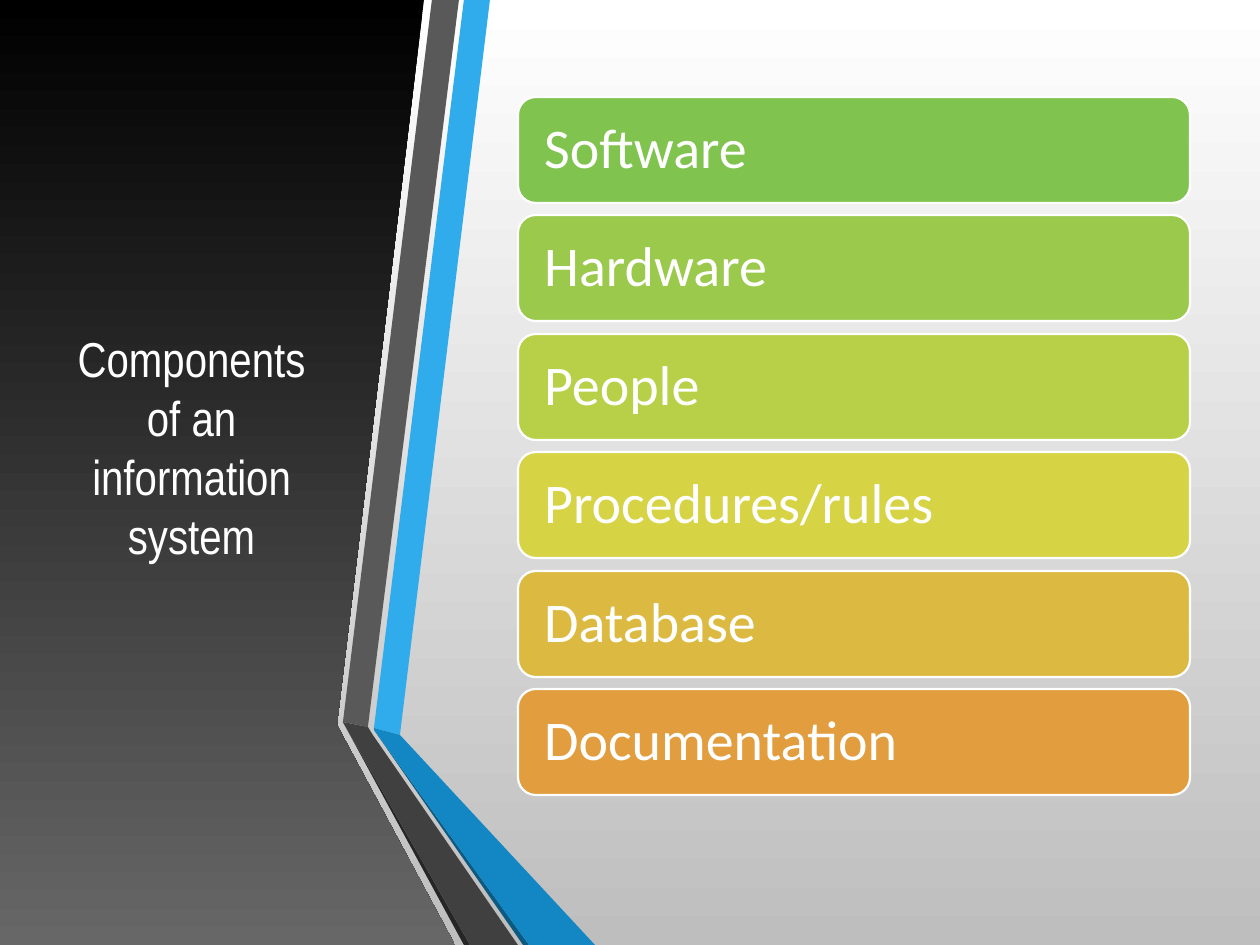
from dataclasses import dataclass

from pptx import Presentation
from pptx.dml.color import RGBColor
from pptx.dml.fill import FillFormat
from pptx.enum.shapes import MSO_SHAPE as Preset
from pptx.enum.text import MSO_ANCHOR as Anchor
from pptx.enum.text import MSO_AUTO_SIZE as AutoSize
from pptx.enum.text import PP_ALIGN as Align
from pptx.shapes.freeform import FreeformBuilder
from pptx.util import Emu, Pt

WIDTH, HEIGHT = 1260, 945
SCALE = 914400 / 126  # EMU in one px

WHITE = RGBColor(0xFF, 0xFF, 0xFF)
SILVER = RGBColor(0xBE, 0xBE, 0xBE)
BLACK = RGBColor(0x00, 0x00, 0x00)
GRAY = RGBColor(0x67, 0x67, 0x67)
SKY = RGBColor(0x30, 0xAC, 0xEC)
BLUE = RGBColor(0x12, 0x87, 0xC3)
NAVY = RGBColor(0x0C, 0x5A, 0x82)
SLATE = RGBColor(0x59, 0x59, 0x59)
CHARCOAL = RGBColor(0x40, 0x40, 0x40)
SOOT = RGBColor(0x26, 0x26, 0x26)
GREEN = RGBColor(0x80, 0xC3, 0x4F)
LEAF = RGBColor(0x9A, 0xC9, 0x4B)
LIME = RGBColor(0xB8, 0xD0, 0x48)
YELLOW = RGBColor(0xD6, 0xD3, 0x44)
GOLD = RGBColor(0xDC, 0xBA, 0x41)
ORANGE = RGBColor(0xE2, 0x9D, 0x3E)

Point = tuple[int, int]


@dataclass(frozen=True)
class Facet:
    color: RGBColor
    outline: list[Point]


@dataclass(frozen=True)
class Component:
    name: str
    color: RGBColor


PANEL = [(333, 0), (424, 0), (337, 725), (455, 945), (0, 945), (0, 0)]

RIBBON = [
    Facet(SKY, [(374, 728), (400, 735), (490, 0), (464, 0)]),
    Facet(SLATE, [(459, 0), (432, 0), (343, 722), (368, 727)]),
    Facet(SOOT, [(343, 722), (464, 945), (470, 945)]),
    Facet(NAVY, [(374, 730), (523, 945), (529, 945)]),
    Facet(BLUE, [(374, 730), (529, 945), (595, 945), (400, 735), (374, 728)]),
    Facet(CHARCOAL, [(518, 945), (373, 735), (368, 727), (343, 722), (470, 945)]),
]

COMPONENTS = [
    Component("Software", GREEN),
    Component("Hardware", LEAF),
    Component("People", LIME),
    Component("Procedures/rules", YELLOW),
    Component("Database", GOLD),
    Component("Documentation", ORANGE),
]
BAR_LEFT, BAR_WIDTH, BAR_HEIGHT = 518, 672, 106
FIRST_TOP, LAST_TOP = 97, 689
BAR_PITCH = (LAST_TOP - FIRST_TOP) / (len(COMPONENTS) - 1)


def px(length: int) -> Emu:
    return Emu(round(length * SCALE))


def shade_down(fill: FillFormat, top: RGBColor, bottom: RGBColor) -> None:
    """Fill with a vertical gradient."""
    fill.gradient()
    fill.gradient_angle = 270
    for stop, color in zip(fill.gradient_stops, (top, bottom)):
        stop.color.rgb = color


def draw_outline(shapes, outline: list[Point]):
    """Draw a closed polygon without line or shadow."""
    builder: FreeformBuilder = shapes.build_freeform(*outline[0], scale=SCALE)
    builder.add_line_segments(outline[1:], close=True)
    polygon = builder.convert_to_shape()
    polygon.line.fill.background()
    polygon.shadow.inherit = False
    return polygon


def draw_facet(shapes, facet: Facet) -> None:
    polygon = draw_outline(shapes, facet.outline)
    polygon.fill.solid()
    polygon.fill.fore_color.rgb = facet.color


def draw_component(shapes, component: Component, top: int) -> None:
    bar = shapes.add_shape(Preset.ROUNDED_RECTANGLE, px(BAR_LEFT), px(top),
                           px(BAR_WIDTH), px(BAR_HEIGHT))
    bar.shadow.inherit = False
    bar.fill.solid()
    bar.fill.fore_color.rgb = component.color
    bar.line.color.rgb = WHITE
    bar.line.width = Pt(1.25)

    frame = bar.text_frame
    frame.word_wrap = True
    frame.vertical_anchor = Anchor.MIDDLE
    frame.margin_left = frame.margin_right = px(21)
    frame.margin_top = frame.margin_bottom = px(21)
    label = frame.paragraphs[0]
    label.text = component.name
    label.alignment = Align.LEFT
    label.line_spacing = 0.9
    label.font.name = "Calibri"
    label.font.size = Pt(32)
    label.font.color.rgb = WHITE


def main() -> None:
    prs = Presentation()
    prs.slide_width, prs.slide_height = px(WIDTH), px(HEIGHT)
    slide = prs.slides.add_slide(prs.slide_layouts[5])
    shapes = slide.shapes

    # Backdrop
    shade_down(slide.background.fill, WHITE, SILVER)
    backdrop = shapes.add_shape(Preset.RECTANGLE, 0, 0, px(WIDTH), px(HEIGHT))
    backdrop.line.fill.background()
    backdrop.shadow.inherit = False
    shade_down(backdrop.fill, WHITE, SILVER)

    # Dark title panel
    panel = draw_outline(shapes, PANEL)
    shade_down(panel.fill, BLACK, GRAY)

    # Title, brought in front of the panel
    title = shapes.title
    panel._element.addnext(title._element)
    title.left, title.top = px(55), px(95)
    title.width, title.height = px(273), px(703)
    title.text_frame.word_wrap = True
    title.text_frame.auto_size = AutoSize.NONE
    title.text_frame.vertical_anchor = Anchor.MIDDLE
    heading = title.text_frame.paragraphs[0]
    heading.text = "Components of an information system"
    heading.alignment = Align.CENTER
    heading.font.name = "Arial Narrow"
    heading.font.size = Pt(28)
    heading.font.color.rgb = WHITE

    # Folded ribbon
    ribbon = shapes.add_group_shape()
    for facet in RIBBON:
        draw_facet(ribbon.shapes, facet)

    # Component bars
    bars = shapes.add_group_shape()
    for row, component in enumerate(COMPONENTS):
        draw_component(bars.shapes, component, round(FIRST_TOP + row * BAR_PITCH))

    prs.save("out.pptx")


if __name__ == "__main__":
    main()
